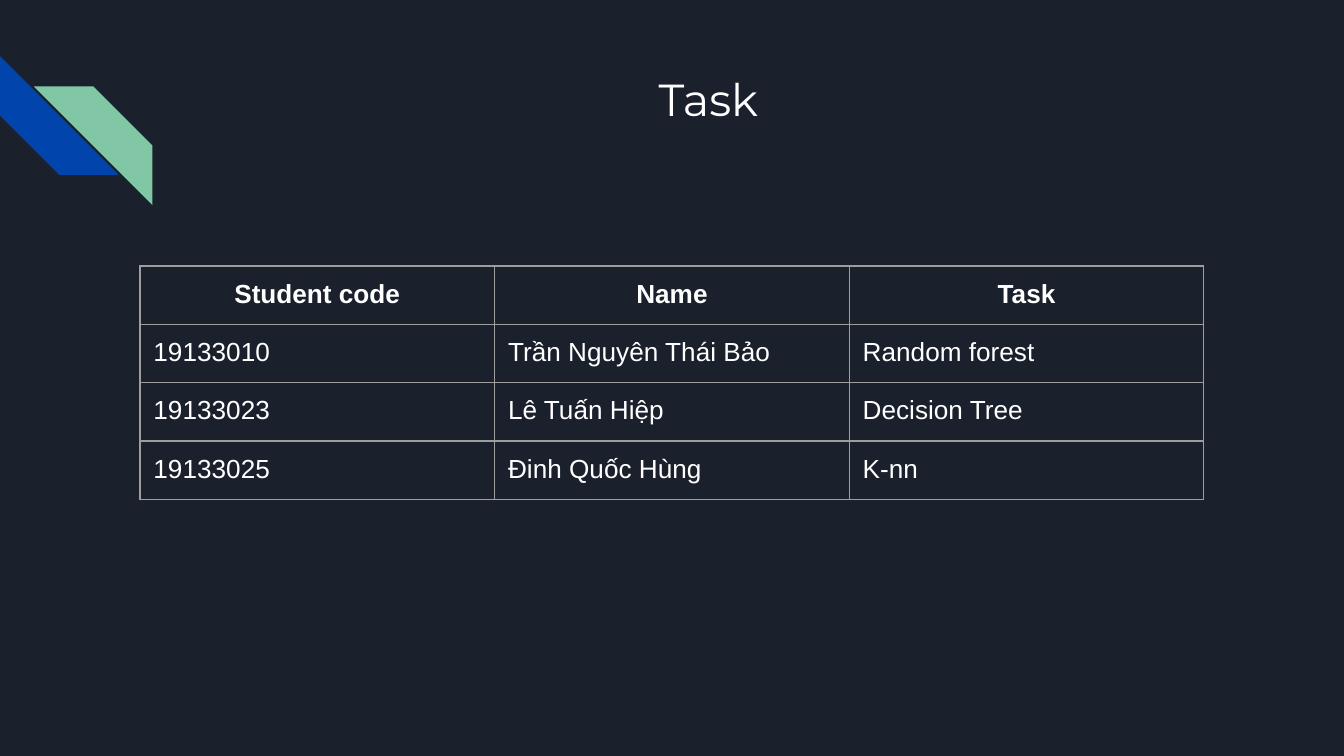
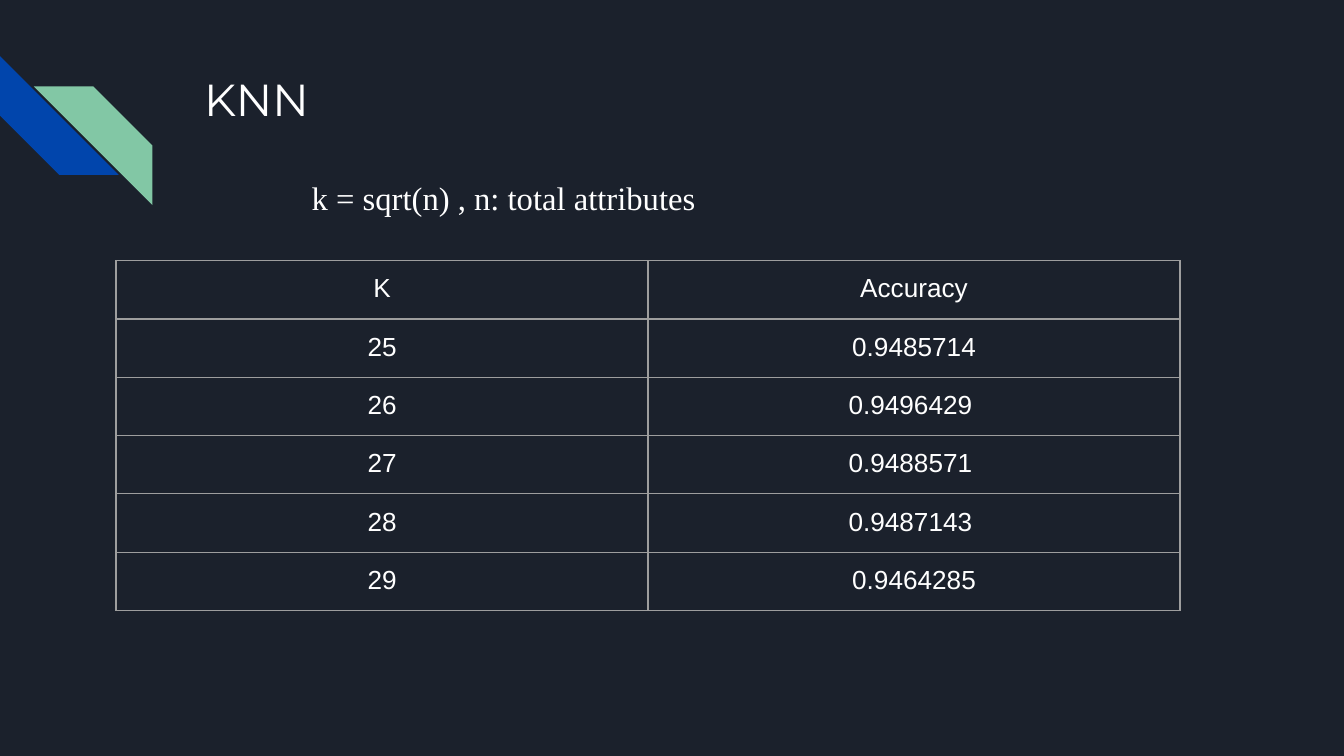
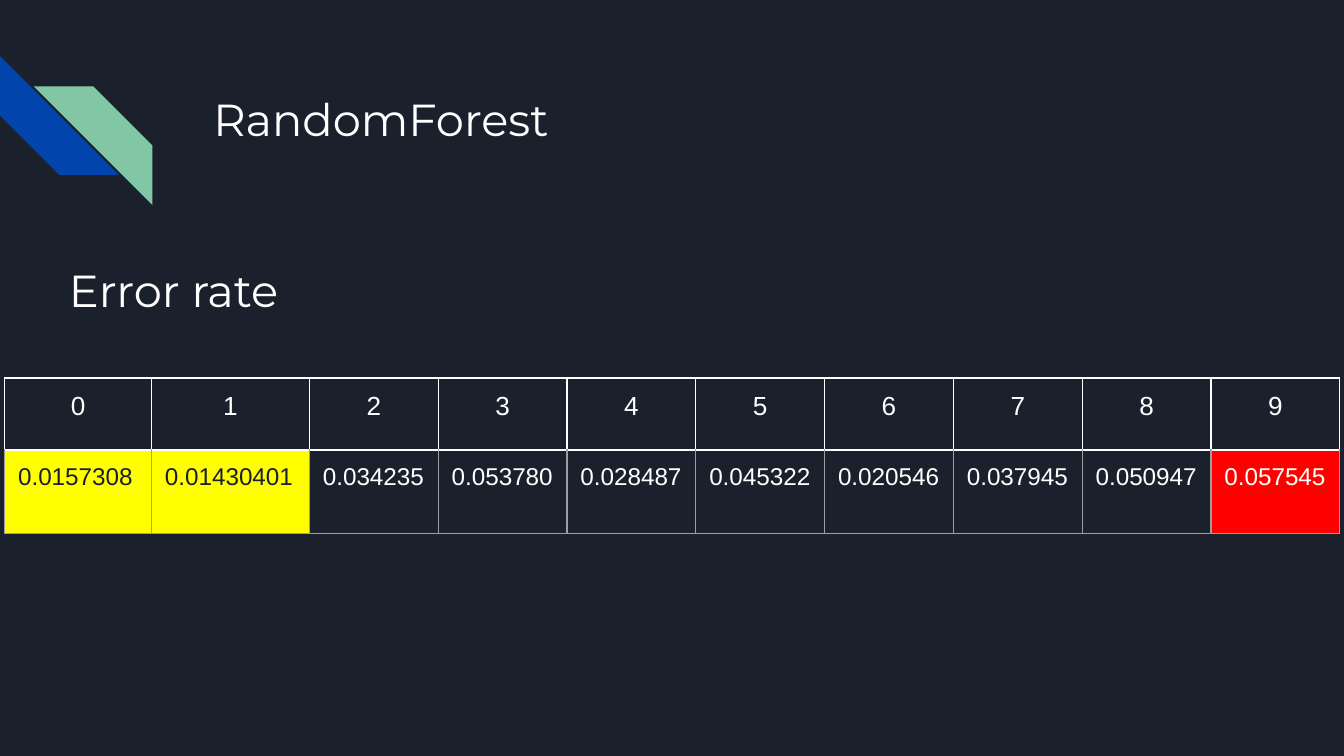
from lxml.etree import SubElement
from pptx import Presentation
from pptx.dml.color import RGBColor
from pptx.enum.shapes import MSO_SHAPE as Shape
from pptx.enum.text import MSO_ANCHOR as Anchor, MSO_AUTO_SIZE as AutoSize, PP_ALIGN as Align
from pptx.oxml.ns import qn
from pptx.util import Pt

COLORS = {
    "night": "1B212C",
    "white": "FFFFFF",
    "grey": "9E9E9E",
    "blue": "0145AC",
    "green": "82C7A5",
    "yellow": "FFFF00",
    "red": "FF0000",
}
TITLE_FONT, BODY_FONT, FORMULA_FONT = "Montserrat", "Arial", "Times New Roman"
INSET = 7.2
BORDER_WIDTH = 0.75
TITLE_SIZE = (554.4, 72)

STRIPES = [
    ("blue", 0, 30.1, 270),
    ("green", 18.1, 46.3, 90),
]

TASKS = [
    ("Student code", "Name", "Task"),
    ("19133010", "Trần Nguyên Thái Bảo", "Random forest"),
    ("19133023", "Lê Tuấn Hiệp", "Decision Tree"),
    ("19133025", "Đinh Quốc Hùng", "K-nn"),
]

FORMULA = "k = sqrt(n) , n: total attributes"
ACCURACIES = [
    ("K", "Accuracy"),
    ("25", "0.9485714"),
    ("26", "0.9496429 "),
    ("27", "0.9488571 "),
    ("28", "0.9487143 "),
    ("29", "0.9464285"),
]

ERROR_RATES = [
    "0.0157308", "0.01430401", "0.034235", "0.053780", "0.028487",
    "0.045322", "0.020546", "0.037945", "0.050947", "0.057545",
]
RATE_FILLS = {0: "yellow", 1: "yellow", 9: "red"}


def rgb(name):
    return RGBColor.from_string(COLORS[name])


def write(frame, text, font, size, color="white", bold=False, align=Align.LEFT):
    paragraph = frame.paragraphs[0]
    paragraph.alignment = align
    run = paragraph.add_run()
    run.text = text
    run.font.name = font
    run.font.size = Pt(size)
    run.font.bold = bold
    run.font.color.rgb = rgb(color)
    return paragraph


def add_text(slide, text, box, font, size, align=Align.LEFT):
    frame = slide.shapes.add_textbox(*map(Pt, box)).text_frame
    frame.word_wrap = True
    frame.vertical_anchor = Anchor.TOP
    frame.margin_left = frame.margin_right = Pt(INSET)
    frame.margin_top = frame.margin_bottom = Pt(INSET)
    return frame, write(frame, text, font, size, align=align)


def add_title(slide, text, left, top, size=TITLE_SIZE, align=Align.LEFT):
    add_text(slide, text, (left, top, *size), TITLE_FONT, 24, align)


def add_slide(presentation):
    slide = presentation.slides.add_slide(presentation.slide_layouts[6])
    stripes = slide.shapes.add_group_shape()
    for color, left, top, rotation in STRIPES:
        stripe = stripes.shapes.add_shape(
            Shape.DIAGONAL_STRIPE, Pt(left), Pt(top), Pt(63.6), Pt(63.6))
        stripe.rotation = rotation
        stripe.shadow.inherit = False
        stripe.fill.solid()
        stripe.fill.fore_color.rgb = rgb(color)
        stripe.line.fill.background()
    return slide


def set_borders(cell, colors):
    properties = cell._tc.get_or_add_tcPr()
    for index, (side, color) in enumerate(zip("LRTB", colors)):
        line = SubElement(properties, qn(f"a:ln{side}"), w=str(Pt(BORDER_WIDTH)))
        fill = SubElement(line, qn("a:solidFill"))
        SubElement(fill, qn("a:srgbClr"), val=COLORS[color])
        properties.insert(index, line)


def add_table(slide, left, top, widths, heights):
    table = slide.shapes.add_table(
        len(heights), len(widths), Pt(left), Pt(top),
        Pt(sum(widths)), Pt(sum(heights))).table
    table.first_row = table.horz_banding = False
    for column, width in zip(table.columns, widths):
        column.width = Pt(width)
    for row, height in zip(table.rows, heights):
        row.height = Pt(height)
    return table


def fill_cell(cell, text, size=14, color="white", bold=False, align=Align.CENTER,
              fill=None, borders=("grey",) * 4):
    cell.margin_left = cell.margin_right = Pt(INSET)
    cell.margin_top = cell.margin_bottom = Pt(INSET)
    if fill:
        cell.fill.solid()
        cell.fill.fore_color.rgb = rgb(fill)
    else:
        cell.fill.background()
    set_borders(cell, borders)
    write(cell.text_frame, text, BODY_FONT, size, color, bold, align)


def build_tasks(presentation):
    slide = add_slide(presentation)
    add_title(slide, "Task", 102.3, 31, align=Align.CENTER)
    table = add_table(slide, 75, 142.5, [190] * 3, [30] * len(TASKS))
    for row, record in enumerate(TASKS):
        header = row == 0
        for column, text in enumerate(record):
            fill_cell(table.cell(row, column), text, bold=header,
                      align=Align.CENTER if header else Align.LEFT)


def build_knn(presentation):
    slide = add_slide(presentation)
    add_title(slide, "KNN", 102.3, 31)
    frame, paragraph = add_text(slide, FORMULA, (123.8, 85, 300, 36), FORMULA_FONT, 17.5)
    frame.auto_size = AutoSize.SHAPE_TO_FIT_TEXT
    frame.margin_left = Pt(INSET + 36)
    paragraph.line_spacing = 1.15
    paragraph.space_before = paragraph.space_after = Pt(8)
    table = add_table(slide, 62.2, 139.6, [285] * 2, [31.1] * len(ACCURACIES))
    for row, record in enumerate(ACCURACIES):
        for column, text in enumerate(record):
            fill_cell(table.cell(row, column), text)


def build_random_forest(presentation):
    slide = add_slide(presentation)
    add_title(slide, "RandomForest", 107.3, 41.8)
    table = add_table(slide, 2.5, 202.5, [78.7, 84.6] + [69] * 8, [38.6, 44.6])
    for column, rate in enumerate(ERROR_RATES):
        fill = RATE_FILLS.get(column)
        fill_cell(table.cell(0, column), str(column), borders=("white",) * 4)
        fill_cell(table.cell(1, column), rate, size=13, align=Align.LEFT, fill=fill,
                  color="night" if fill == "yellow" else "white",
                  borders=("grey", "grey", "white", "grey"))
    add_title(slide, "Error rate", 29.8, 133.3, (464.4, 49.7))


def main():
    presentation = Presentation()
    presentation.slide_width = Pt(720)
    presentation.slide_height = Pt(405)
    background = presentation.slide_master.background.fill
    background.solid()
    background.fore_color.rgb = rgb("night")
    build_tasks(presentation)
    build_knn(presentation)
    build_random_forest(presentation)
    presentation.save("out.pptx")


if __name__ == "__main__":
    main()
